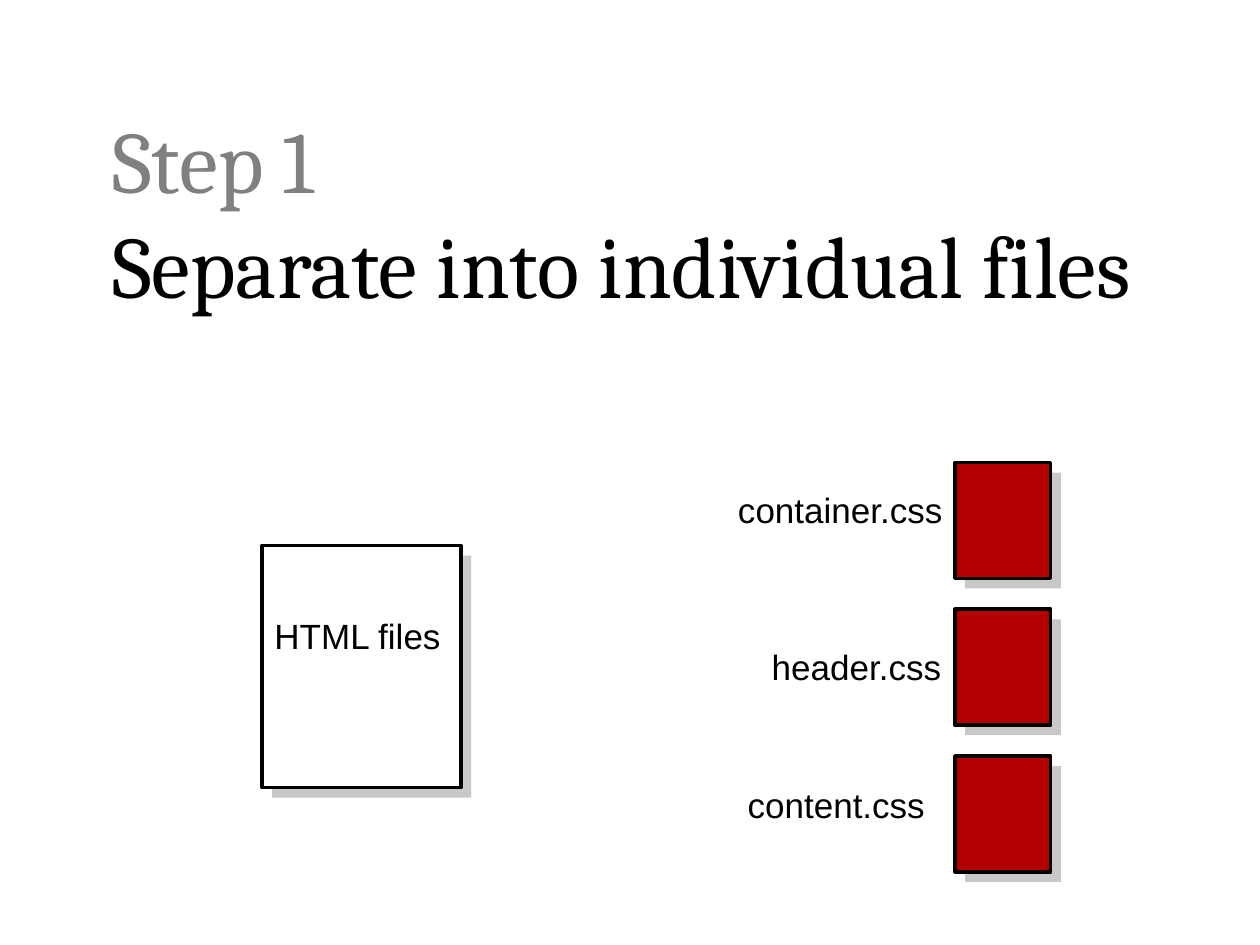
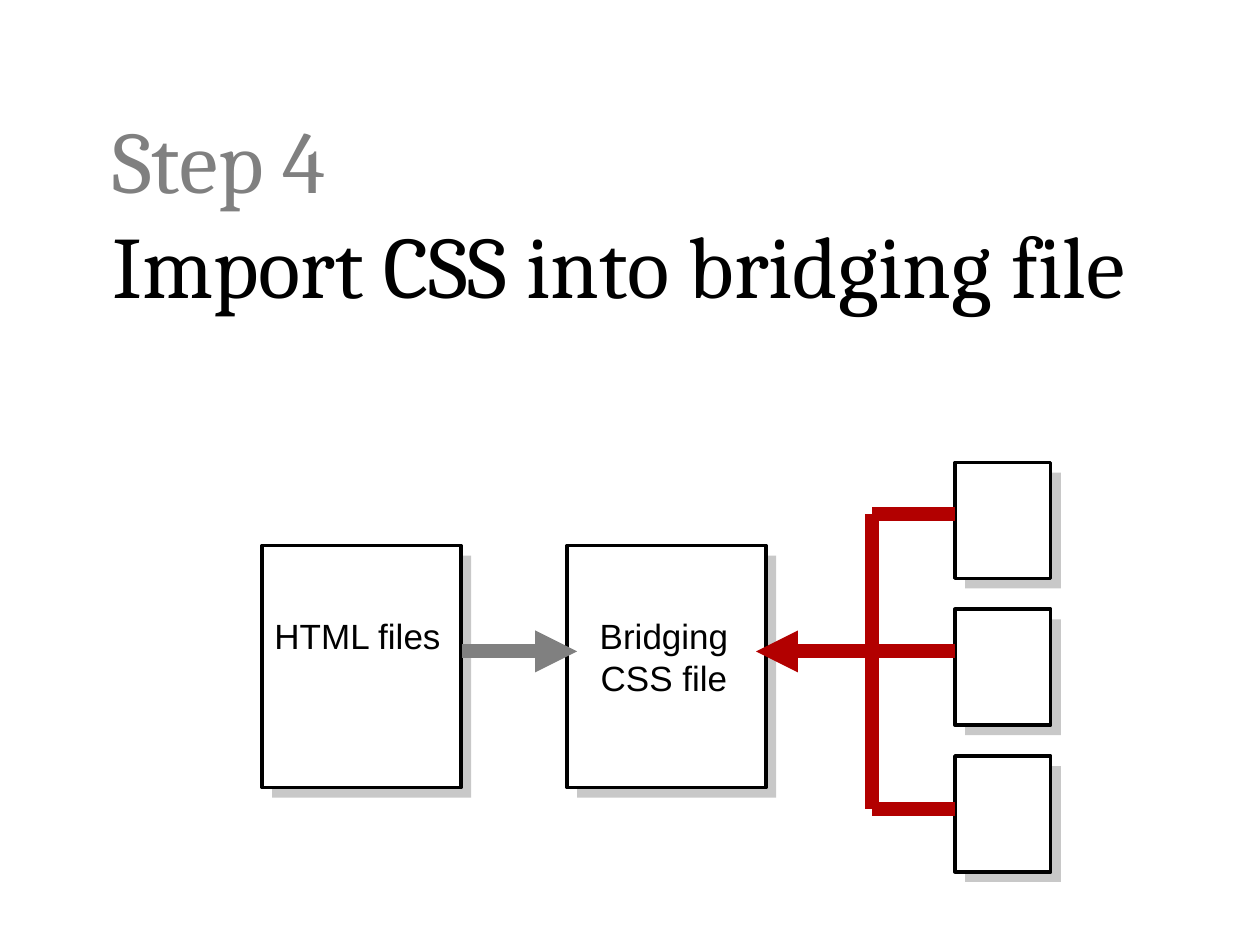
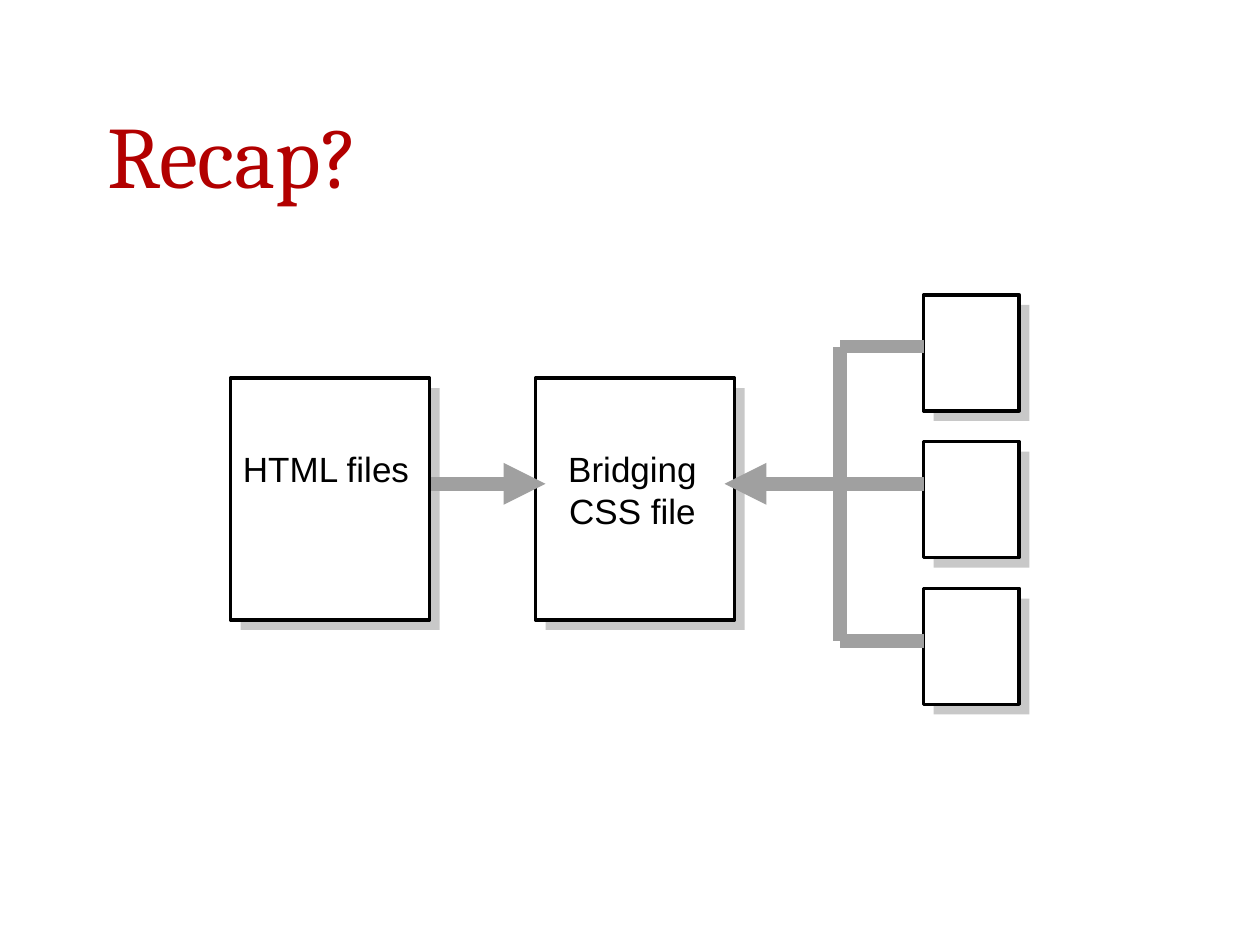
"""Build three slides on splitting a style sheet into files behind a bridging file."""

from lxml import etree
from pptx import Presentation
from pptx.dml.color import RGBColor
from pptx.enum.shapes import MSO_CONNECTOR, MSO_SHAPE
from pptx.enum.text import MSO_ANCHOR, MSO_AUTO_SIZE, PP_ALIGN
from pptx.oxml.ns import qn
from pptx.util import Inches, Pt

LEFT, CENTER, RIGHT = PP_ALIGN.LEFT, PP_ALIGN.CENTER, PP_ALIGN.RIGHT
TOP = MSO_ANCHOR.TOP
GROW, FIXED = MSO_AUTO_SIZE.SHAPE_TO_FIT_TEXT, MSO_AUTO_SIZE.NONE
RECTANGLE, STRAIGHT = MSO_SHAPE.RECTANGLE, MSO_CONNECTOR.STRAIGHT

COLORS = {
    "black": "000000",
    "white": "FFFFFF",
    "red": "B20000",
    "gray": "808080",
    "light gray": "A0A0A0",
    "shadow": "C8C8C8",
}
SHADOW_OFFSET = 0.08
FILE_SIZE = (1.58, 1.92)
STYLE_SIZE = (0.76, 0.92)
STYLE_TOPS = [3.67 + 1.165 * row for row in range(3)]
BRANCH_TOPS = [4.08, 5.17, 6.42]
STYLE_LEFT, TRUNK_LEFT, ARROW_TOP = 7.58, 6.92, 5.17

HTML_FILE = (2.08, "HTML files", 2.08, 1.53, 0.44, LEFT)
BRIDGING_FILE = (4.5, "Bridging\nCSS file", 4.66, 1.22, 0.77, CENTER)
STYLE_LABELS = [
    ("container.css", 5.74, 3.83, 1.84),
    ("header.css", 6.01, 5.07, 1.56),
    ("content.css", 5.83, 6.17, 1.61),
]
SLIDES = [
    {
        "title": "Step 1\vSeparate into individual files",
        "title colors": ("gray", "black"),
        "title box": (0.79, 0.79, 9.21, 2.17),
        "shift": (0, 0),
        "files": [HTML_FILE],
        "style fill": "red",
        "labels": STYLE_LABELS,
        "line colors": None,
    },
    {
        "title": "Step 4\vImport CSS into bridging file",
        "title colors": ("gray", "black"),
        "title box": (0.79, 0.79, 8.96, 2.17),
        "shift": (0, 0),
        "files": [HTML_FILE, BRIDGING_FILE],
        "style fill": "white",
        "labels": [],
        "line colors": ("gray", "red"),
    },
    {
        "title": "Recap?",
        "title colors": ("red",),
        "title box": (0.75, 0.75, 8.33, 0.94),
        "shift": (-0.25, -1.33),
        "files": [HTML_FILE, BRIDGING_FILE],
        "style fill": "white",
        "labels": [],
        "line colors": ("light gray", "light gray"),
    },
]


def write_text(shape, text, box, size=20, font="Arial", colors=("black",),
               alignment=LEFT, wrap=False, auto_size=GROW):
    shape.left, shape.top, shape.width, shape.height = map(Inches, box)
    text_frame = shape.text_frame
    text_frame.text = text
    text_frame.word_wrap = wrap
    text_frame.auto_size = auto_size
    text_frame.vertical_anchor = TOP
    for paragraph in text_frame.paragraphs:
        paragraph.alignment = alignment
        for run, color in zip(paragraph.runs, colors):
            run.font.size = Pt(size)
            run.font.name = font
            run.font.color.rgb = RGBColor.from_string(COLORS[color])


def add_card(slide, left, top, size, fill):
    for offset, color in ((SHADOW_OFFSET, "shadow"), (0, fill)):
        box = (left + offset, top + offset, *size)
        shape = slide.shapes.add_shape(RECTANGLE, *map(Inches, box))
        shape.shadow.inherit = False
        shape.fill.solid()
        shape.fill.fore_color.rgb = RGBColor.from_string(COLORS[color])
        if color == "shadow":
            shape.line.fill.background()
        else:
            shape.line.color.rgb = RGBColor.from_string(COLORS["black"])
            shape.line.width = Pt(2)


presentation = Presentation()
presentation.slide_width = Inches(10)
presentation.slide_height = Inches(7.5)

for content in SLIDES:
    slide = presentation.slides.add_slide(presentation.slide_layouts[5])
    shift_x, shift_y = content["shift"]
    write_text(slide.shapes.title, content["title"], content["title box"], size=50,
               font="Cambria", colors=content["title colors"], wrap=True, auto_size=FIXED)

    for left, text, text_left, width, height, alignment in content["files"]:
        add_card(slide, left + shift_x, 4.33 + shift_y, FILE_SIZE, "white")
        box = (text_left + shift_x, 4.83 + shift_y, width, height)
        write_text(slide.shapes.add_textbox(0, 0, 0, 0), text, box, alignment=alignment)

    for top in STYLE_TOPS:
        add_card(slide, STYLE_LEFT + shift_x, top + shift_y, STYLE_SIZE, content["style fill"])

    for text, left, top, width in content["labels"]:
        write_text(slide.shapes.add_textbox(0, 0, 0, 0), text, (left, top, width, 0.44),
                   alignment=RIGHT)

    if content["line colors"]:
        html_color, style_color = content["line colors"]
        lines = [
            (3.67, ARROW_TOP, 4.58, ARROW_TOP, html_color, True),
            (TRUNK_LEFT, ARROW_TOP, 6, ARROW_TOP, style_color, True),
            (TRUNK_LEFT, BRANCH_TOPS[0], TRUNK_LEFT, BRANCH_TOPS[-1], style_color, False),
        ]
        for top in BRANCH_TOPS:
            lines.append((STYLE_LEFT, top, TRUNK_LEFT, top, style_color, False))
        for start_x, start_y, end_x, end_y, color, has_arrow in lines:
            connector = slide.shapes.add_connector(
                STRAIGHT, Inches(start_x + shift_x), Inches(start_y + shift_y),
                Inches(end_x + shift_x), Inches(end_y + shift_y))
            connector.line.color.rgb = RGBColor.from_string(COLORS[color])
            connector.line.width = Pt(8)
            if has_arrow:
                line_element = connector.line._get_or_add_ln()
                etree.SubElement(line_element, qn("a:tailEnd"), type="triangle")
            etree.SubElement(connector._element.spPr, qn("a:effectLst"))

presentation.save("out.pptx")
